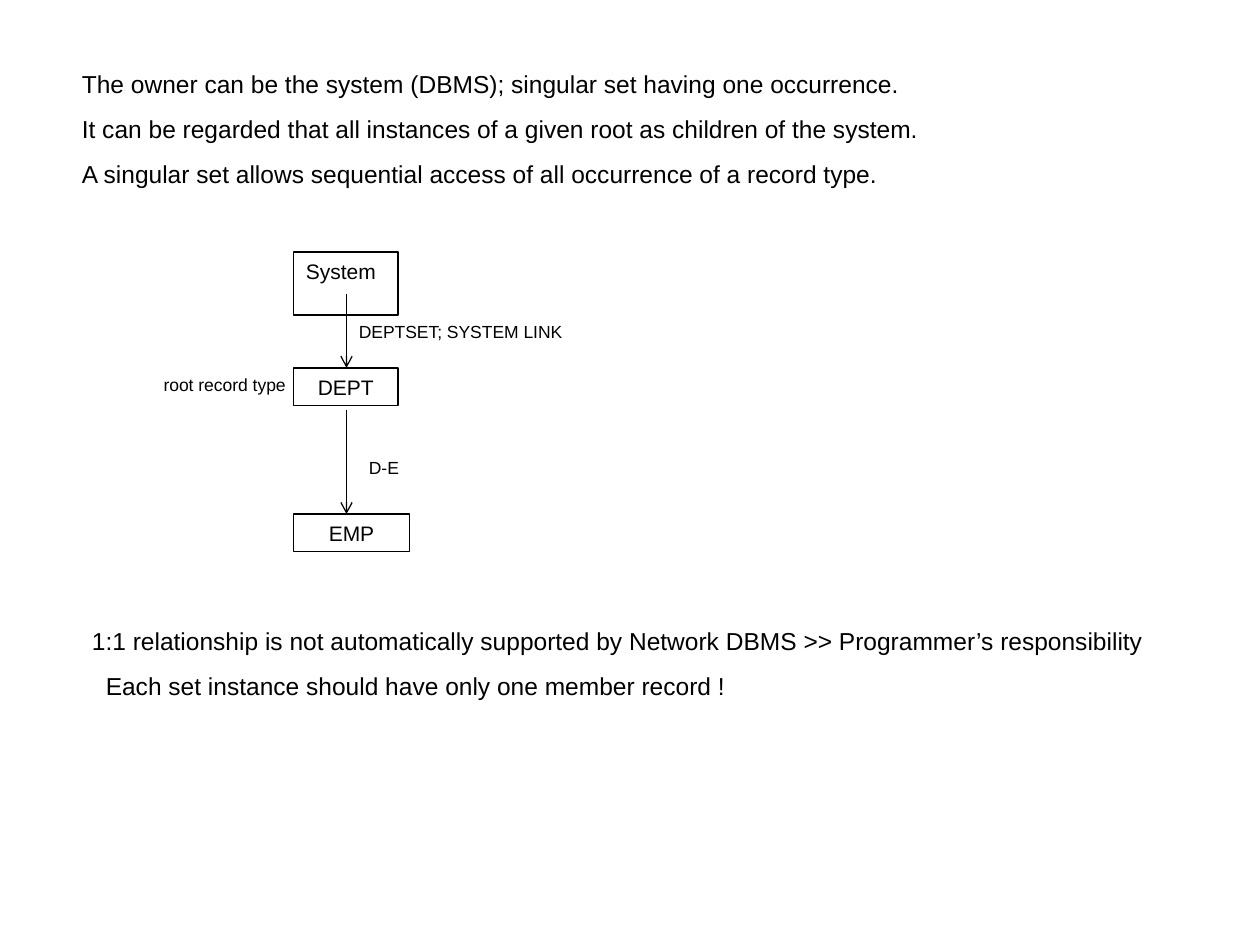
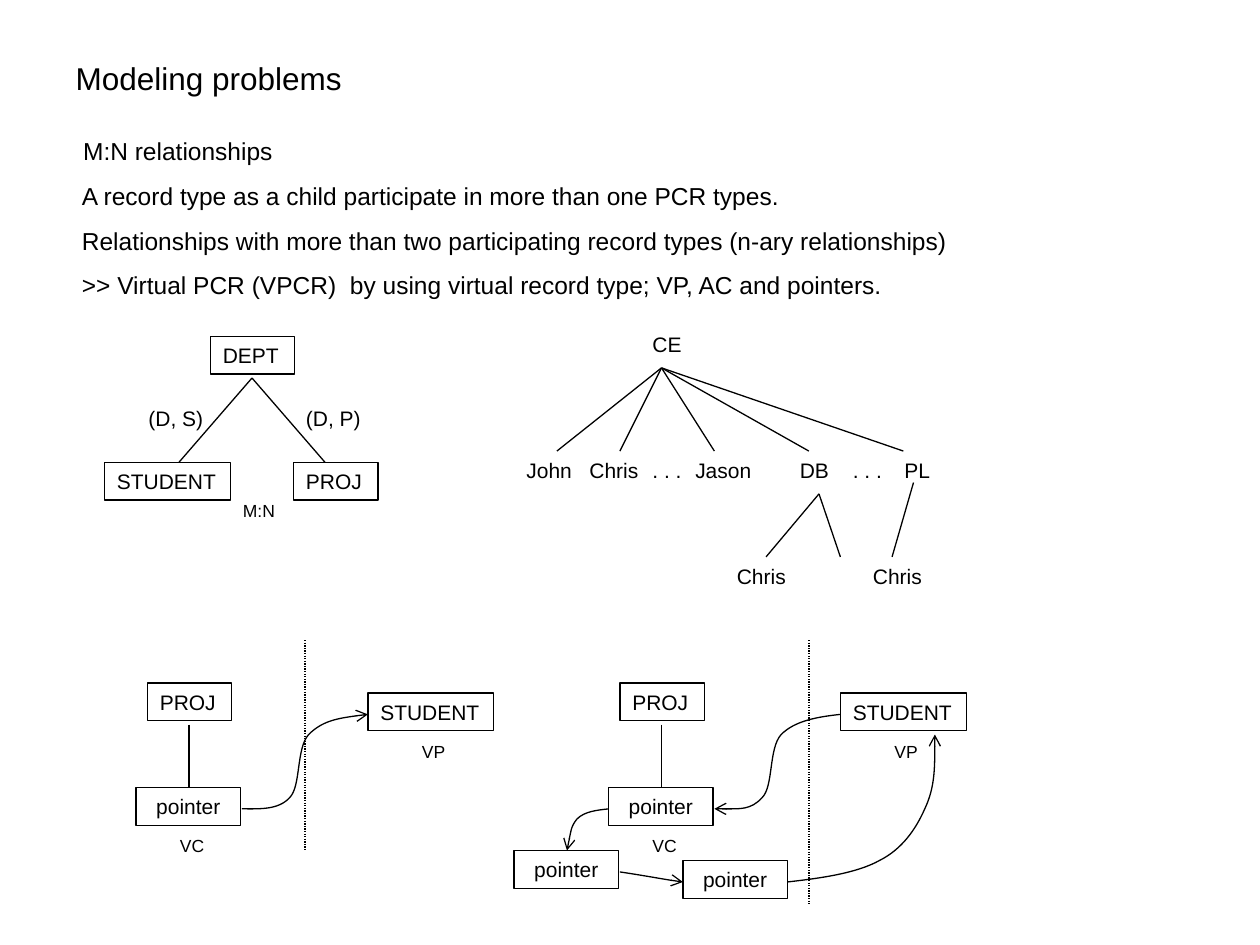
from dataclasses import dataclass
from lxml.etree import SubElement
from pptx import Presentation
from pptx.dml.color import RGBColor
from pptx.enum.dml import MSO_LINE_DASH_STYLE as Dash
from pptx.enum.shapes import MSO_CONNECTOR as Connector, MSO_SHAPE as Shape
from pptx.enum.text import MSO_ANCHOR as Anchor, MSO_AUTO_SIZE as AutoSize, PP_ALIGN as Align
from pptx.oxml.ns import qn
from pptx.util import Inches, Pt


@dataclass(frozen=True)
class Theme:
    ink: RGBColor = RGBColor(0, 0, 0)
    paper: RGBColor = RGBColor(255, 255, 255)
    font: str = "Arial"
    title: int = 18
    body: int = 14
    node: int = 12
    label: int = 10
    body_gap: float = 8.8
    rule: float = 0.75


theme = Theme()


def set_text(box, place, lines, size, align=Align.LEFT, inset=0.1, indents=()):
    for name, value in zip(("left", "top", "width", "height"), place):
        setattr(box, name, Inches(value))
    frame_format = {
        "margin_left": Inches(inset), "margin_right": Inches(0.1),
        "margin_top": Inches(0.05), "margin_bottom": Inches(0.05),
        "word_wrap": True, "auto_size": AutoSize.NONE, "vertical_anchor": Anchor.TOP,
    }
    for name, value in frame_format.items():
        setattr(box.text_frame, name, value)
    box.text_frame.text = "\n".join(lines)
    for index, para in enumerate(box.text_frame.paragraphs):
        para.alignment = align
        para.space_before = Pt(theme.body_gap if index else 0)
        if index < len(indents):
            para._p.get_or_add_pPr().set("marL", str(Inches(indents[index])))
        for span in para.runs:
            for name, value in {"name": theme.font, "size": Pt(size), "bold": False}.items():
                setattr(span.font, name, value)
            span.font.color.rgb = theme.ink


def draw_stroke(page, points, arrow=None, dotted=False):
    spots = [(Inches(x), Inches(y)) for x, y in points]
    if len(spots) == 2:
        stroke = page.shapes.add_connector(Connector.STRAIGHT, *spots[0], *spots[1])
    else:
        builder = page.shapes.build_freeform(*spots[0])
        builder.add_line_segments(spots[1:], close=False)
        stroke = builder.convert_to_shape()
        stroke.fill.background()
        outline = stroke._element.find(".//" + qn("a:path"))
        corners = outline.findall(qn("a:lnTo"))
        for first in range(0, len(corners), 3):
            curve = SubElement(outline, qn("a:cubicBezTo"))
            for corner in corners[first:first + 3]:
                curve.append(corner[0])
                outline.remove(corner)
    stroke.line.color.rgb = theme.ink
    stroke.line.width = Pt(theme.rule)
    if dotted:
        stroke.line.dash_style = Dash.ROUND_DOT
    properties = stroke._element.spPr
    if arrow:
        SubElement(properties.find(qn("a:ln")), qn(f"a:{arrow}"), type="arrow")
    SubElement(properties, qn("a:effectLst"))


deck = Presentation()
deck.slide_width, deck.slide_height = Inches(10), Inches(7.5)
set_page = deck.slides.add_slide(deck.slide_layouts[6])
problem_page = deck.slides.add_slide(deck.slide_layouts[5])
for page in deck.slides:
    page.background.fill.solid()
    page.background.fill.fore_color.rgb = theme.paper

set_text(problem_page.shapes.title, (0.5, 0.42, 7.58, 0.4), ["Modeling problems"], theme.title)

passages = [
    (set_page, (0.5, 0.5, 8.67, 1.05), (), [
        "The owner can be the system (DBMS); singular set having one occurrence.",
        "It can be regarded that all instances of a given root as children of the system.",
        "A singular set allows sequential access of all occurrence of a record type.",
    ]),
    (set_page, (0.58, 4.92, 8.67, 0.69), (0, 0.11), [
        "1:1 relationship is not automatically supported by Network DBMS >> Programmer’s responsibility",
        "Each set instance should have only one member record !",
    ]),
    (problem_page, (0.5, 1.03, 9, 1.76), (0.01,), [
        "M:N relationships",
        "A record type as a child participate in more than one PCR types.",
        "Relationships with more than two participating record types (n-ary relationships)",
        ">> Virtual PCR (VPCR)  by using virtual record type; VP, AC and pointers.",
    ]),
]
for page, place, indents, lines in passages:
    box = page.shapes.add_textbox(0, 0, 0, 0)
    set_text(box, place, lines, theme.body, inset=0.15, indents=indents)

records = [
    (set_page, "System", 2.33, 2, 0.83, 0.5, Align.LEFT),
    (set_page, "DEPT", 2.33, 2.92, 0.83, 0.3, Align.CENTER),
    (set_page, "EMP", 2.33, 4.08, 0.92, 0.3, Align.CENTER),
    (problem_page, "DEPT", 1.67, 2.67, 0.67, 0.3, Align.LEFT),
    (problem_page, "STUDENT", 0.83, 3.67, 1, 0.3, Align.LEFT),
    (problem_page, "PROJ", 2.33, 3.67, 0.67, 0.3, Align.LEFT),
    (problem_page, "pointer", 4.08, 6.75, 0.83, 0.3, Align.CENTER),
    (problem_page, "pointer", 5.42, 6.83, 0.83, 0.3, Align.CENTER),
]
labels = [
    (set_page, "DEPTSET; SYSTEM LINK", 2.75, 2.5, 2.17),
    (set_page, "D-E", 2.83, 3.58, 0.5),
    (set_page, "root record type", 1.2, 2.92, 1.3),
    (problem_page, "M:N", 1.83, 3.92, 0.5),
]
virtual_link = [(1.92, 6.42), (2.06, 6.42), (2.21, 6.43), (2.3, 6.33), (2.39, 6.24),
                (2.35, 5.94), (2.45, 5.83), (2.56, 5.72), (2.74, 5.69), (2.92, 5.67)]
for shift, arrow, divider, divider_end in [(0, "tailEnd", 2.42, 6.75), (3.75, "headEnd", 6.42, 7.17)]:
    records += [
        (problem_page, "PROJ", 1.17 + shift, 5.42, 0.67, 0.3, Align.LEFT),
        (problem_page, "pointer", 1.08 + shift, 6.25, 0.83, 0.3, Align.CENTER),
        (problem_page, "STUDENT", 2.92 + shift, 5.5, 1, 0.3, Align.LEFT),
    ]
    labels += [
        (problem_page, "VC", 1.33 + shift, 6.58, 0.58),
        (problem_page, "VP", 3.25 + shift, 5.83, 0.58),
    ]
    draw_stroke(problem_page, [(1.5 + shift, 5.75), (1.5 + shift, 6.25)])
    draw_stroke(problem_page, [(x + shift, y) for x, y in virtual_link], arrow)
    draw_stroke(problem_page, [(divider, 5.08), (divider, divider_end)], dotted=True)

for page, name, left, top, width, height, align in records:
    box = page.shapes.add_shape(Shape.RECTANGLE, 0, 0, 0, 0)
    box.shadow.inherit = False
    box.fill.background()
    box.line.color.rgb = theme.ink
    box.line.width = Pt(theme.rule)
    set_text(box, (left, top, width, height), [name], theme.node, align)

for page, name, left, top, width in labels:
    box = page.shapes.add_textbox(0, 0, 0, 0)
    set_text(box, (left, top, width, 0.27), [name], theme.label)

tree_texts = [
    ("(D, S)", 1.08, 3.17, 0.67), ("(D, P)", 2.33, 3.17, 0.67), ("CE", 5.08, 2.58, 0.67),
    ("John", 4.08, 3.58, 0.67), ("Chris", 4.58, 3.58, 0.67), (". . .", 5.08, 3.58, 0.58),
    ("Jason", 5.42, 3.58, 0.67), ("DB", 6.25, 3.58, 0.5), (". . .", 6.67, 3.58, 0.58),
    ("PL", 7.08, 3.58, 0.42), ("Chris", 5.75, 4.42, 0.67), ("Chris", 6.83, 4.42, 0.67),
]
for name, left, top, width in tree_texts:
    box = problem_page.shapes.add_textbox(0, 0, 0, 0)
    set_text(box, (left, top, width, 0.3), [name], theme.node)

branches = [
    ((2, 3), 3.67, (1.42, 2.58)),
    ((5.25, 2.92), 3.58, (4.42, 4.92, 5.67, 6.42, 7.17)),
    ((6.5, 3.92), 4.42, (6.08, 6.67)),
    ((7.25, 3.83), 4.42, (7.08,)),
]
for parent, child_top, child_centers in branches:
    for center in child_centers:
        draw_stroke(problem_page, [parent, (center, child_top)])

for start, end in [(2.33, 2.92), (3.25, 4.08)]:
    draw_stroke(set_page, [(2.75, start), (2.75, end)], "tailEnd")

pointer_chain = [
    [(4.83, 6.42), (4.74, 6.43), (4.64, 6.44), (4.58, 6.5), (4.53, 6.56), (4.51, 6.71), (4.5, 6.75)],
    [(4.92, 6.92), (5.12, 6.95), (5.33, 6.99), (5.42, 7)],
    [(6.25, 7), (6.52, 6.97), (6.8, 6.93), (6.98, 6.83), (7.16, 6.74),
     (7.27, 6.58), (7.34, 6.42), (7.42, 6.25), (7.42, 6.04), (7.42, 5.83)],
]
for points in pointer_chain:
    draw_stroke(problem_page, points, "tailEnd")

deck.save("out.pptx")
